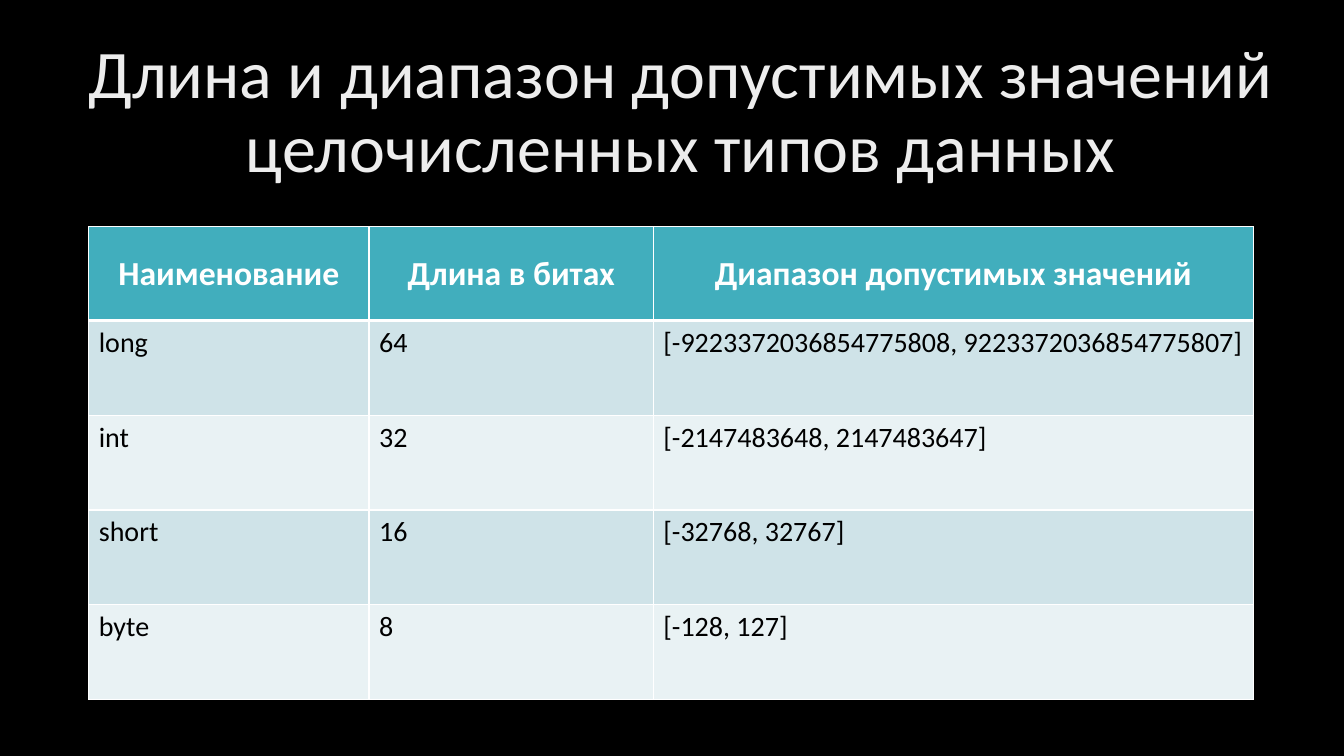
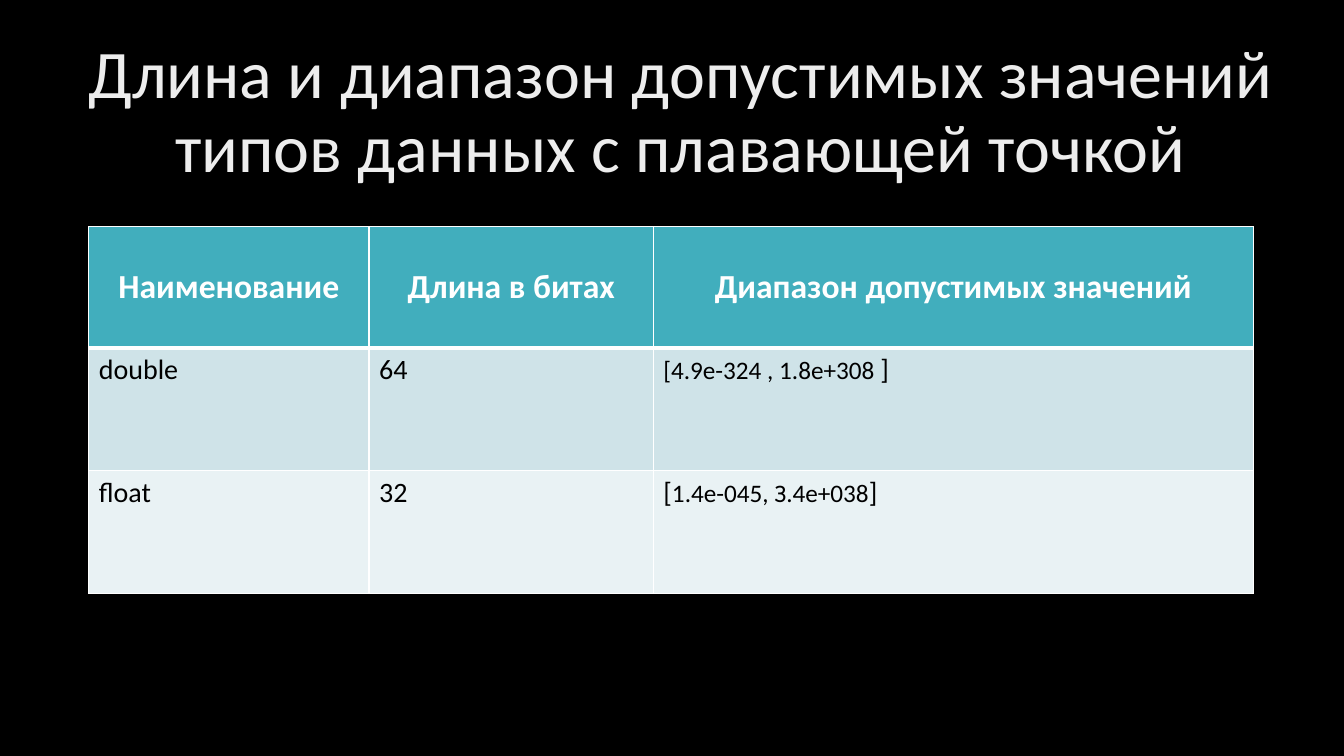
import pptx
import pptx.util
import pptx.dml.color
import pptx.enum.text
import pptx.oxml.ns
import lxml.etree

Inches = pptx.util.Inches
Pt = pptx.util.Pt
Align = pptx.enum.text.PP_ALIGN
Anchor = pptx.enum.text.MSO_ANCHOR
qn = pptx.oxml.ns.qn

FONT = "Calibri"
BLACK = "000000"
WHITE = "FFFFFF"
PALE = "EDEDED"
TEAL = "41AEBD"
BANDS = ("CFE3E8", "E9F2F4")
COLS = (2.78, 2.82, 5.95)
HEADS = ("Наименование", "Длина в битах", "Диапазон допустимых значений")


def color(code):
    return pptx.dml.color.RGBColor.from_string(code)


def paint(fill, code):
    fill.solid()
    fill.fore_color.rgb = color(code)


def add_run(para, text, size, code, bold=False):
    run = para.add_run()
    run.text = text
    run.font.name = FONT
    run.font.size = Pt(size)
    run.font.bold = bold
    run.font.color.rgb = color(code)


def add_title(slide, text):
    title = slide.shapes.title
    title.left, title.top = Inches(0.48), Inches(0.4)
    title.width, title.height = Inches(12.54), Inches(1.45)
    frame = title.text_frame
    frame.word_wrap = True
    frame.auto_size = pptx.enum.text.MSO_AUTO_SIZE.NONE
    frame.vertical_anchor = Anchor.MIDDLE
    para = frame.paragraphs[0]
    para.alignment = Align.CENTER
    para.line_spacing = 0.9
    add_run(para, text, 48.6, PALE)


def add_edge(cell, side, width):
    props = cell._tc.get_or_add_tcPr()
    line = lxml.etree.SubElement(props, qn("a:ln" + side), w=str(Pt(width)))
    solid = lxml.etree.SubElement(line, qn("a:solidFill"))
    lxml.etree.SubElement(solid, qn("a:srgbClr"), val=WHITE)


def style_cell(cell, row):
    widths = {"L": 1, "R": 1, "T": 3 if row == 1 else 1, "B": 3 if row == 0 else 1}
    for side, width in widths.items():
        add_edge(cell, side, width)
    paint(cell.fill, TEAL if row == 0 else BANDS[(row - 1) % 2])


def fill_cell(cell, row, value):
    style_cell(cell, row)
    para = cell.text_frame.paragraphs[0]
    if row == 0:
        cell.vertical_anchor = Anchor.MIDDLE
        para.alignment = Align.CENTER
        add_run(para, value, 24, WHITE, True)
        return
    parts = [(value, 20)] if isinstance(value, str) else value
    for text, size in parts:
        add_run(para, text, size, BLACK)


def add_grid(slide, rows, head, body):
    data = [HEADS, *rows]
    tall = head + body * len(rows)
    frame = slide.shapes.add_table(
        len(data), len(COLS), Inches(0.88), Inches(2.25), Inches(sum(COLS)), Inches(tall)
    )
    table = frame.table
    for col, width in zip(table.columns, COLS):
        col.width = Inches(width)
    for row, values in enumerate(data):
        table.rows[row].height = Inches(body if row else head)
        for col, value in enumerate(values):
            fill_cell(table.cell(row, col), row, value)


def add_page(deck, title, rows, head, body):
    slide = deck.slides.add_slide(deck.slide_layouts[5])
    add_title(slide, title)
    add_grid(slide, rows, head, body)


def main():
    deck = pptx.Presentation()
    deck.slide_width, deck.slide_height = Inches(13.33), Inches(7.5)
    paint(deck.slide_master.background.fill, BLACK)
    whole = [
        ("long", "64", "[-9223372036854775808, 9223372036854775807]"),
        ("int", "32", "[-2147483648, 2147483647]"),
        ("short", "16", "[-32768, 32767]"),
        ("byte", "8", "[-128, 127]"),
    ]
    real = [
        ("double", "64", [("[4.9е-324 , 1.8е+308 ", 18), ("]", 20)]),
        ("float", "32", [("[", 20), ("1.4е-045, З.4е+038", 18), ("]", 20)]),
    ]
    start = "Длина и диапазон допустимых значений "
    add_page(deck, start + "целочисленных типов данных", whole, 0.93, 0.94)
    add_page(deck, start + "типов данных с плавающей точкой", real, 1.2, 1.22)
    deck.save("out.pptx")


if __name__ == "__main__":
    main()
